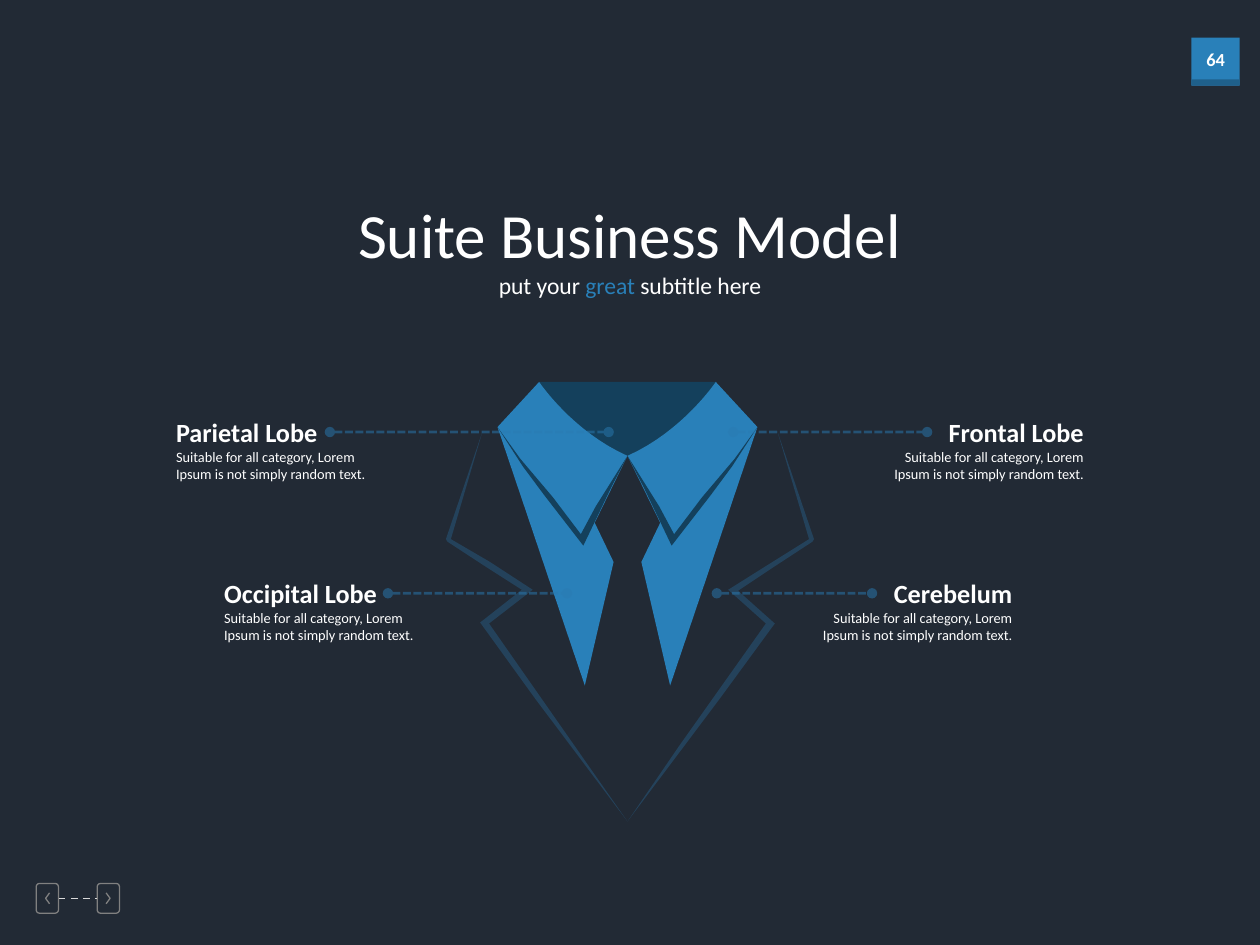
from lxml.etree import SubElement
from pptx import Presentation
from pptx.dml.color import RGBColor
from pptx.enum.dml import MSO_LINE as Dash
from pptx.enum.shapes import MSO_CONNECTOR as Link, MSO_SHAPE as Kind
from pptx.enum.text import MSO_ANCHOR as Anchor, MSO_AUTO_SIZE as Fit, PP_ALIGN as Align
from pptx.oxml.ns import qn
from pptx.util import Cm, Pt

NIGHT = RGBColor(0x22, 0x2A, 0x35)
BLUE = RGBColor(0x29, 0x80, 0xB9)
STEEL = RGBColor(0x29, 0x7B, 0xB3)
DEEP = RGBColor(0x1F, 0x60, 0x8B)
NAVY = RGBColor(0x14, 0x40, 0x5C)
GREY = RGBColor(0x80, 0x80, 0x80)
PALE = RGBColor(0xD9, 0xD9, 0xD9)
WHITE = RGBColor(0xFF, 0xFF, 0xFF)

AXIS = 12.65  # centre line of the suit, cm
BLURB = "Suitable for all category, Lorem Ipsum is not simply random text."

JACKET = [
    [(9.73, 8.69), (8.99, 10.87), (9.02, 10.92), (9.8, 11.43), (10.52, 11.89),
     (9.68, 12.55), (10.8, 14.1), (12.65, 16.56), (11.23, 14.53),
     (9.86, 12.57), (10.74, 11.89), (9.88, 11.33), (9.09, 10.87)],
    [(15.67, 8.69), (16.41, 10.87), (16.38, 10.92), (15.6, 11.43), (14.88, 11.91),
     (15.62, 12.57), (14.5, 14.1), (12.65, 16.56), (13.69, 15.04),
     (15.44, 12.57), (14.68, 11.89), (15.54, 11.35), (16.31, 10.87)],
]
SHADE = [(10.03, 8.61), (10.49, 9.25), (11.15, 10.03), (11.71, 10.77),
         (12.01, 10.21), (12.65, 9.19), (12.32, 9.83), (11.76, 11),
         (10.97, 9.98), (10.54, 9.4)]

# heading, side, outer edge, top, heading width, blurb width, leader from, to
NOTES = [
    ("Parietal Lobe", Align.LEFT, 3.3, 8.26, 3.4, 4.67, 6.65, 12.27),
    ("Occipital Lobe", Align.LEFT, 4.27, 11.51, 3.63, 4.32, 7.82, 11.43),
    ("Frontal Lobe", Align.RIGHT, 22.1, 8.26, 3.28, 4.6, 14.78, 18.69),
    ("Cerebelum", Align.RIGHT, 20.66, 11.51, 2.92, 4.6, 14.45, 17.58),
]


def curve(a, b, c, d, steps=16):
    """Points along a cubic curve."""
    points = []
    for i in range(steps + 1):
        t = i / steps
        u = 1 - t
        points.append(tuple(u**3 * p + 3 * u * u * t * q + 3 * u * t * t * r + t**3 * s
                            for p, q, r, s in zip(a, b, c, d)))
    return points


def flip(points):
    return [(2 * AXIS - x, y) for x, y in points]


def fade(fill, part):
    """Set the opacity of a solid fill, in percent."""
    color = fill.find(".//" + qn("a:srgbClr"))
    SubElement(color, qn("a:alpha")).set("val", str(part * 1000))


class Board:
    font = "Calibri"

    def __init__(self, slide):
        self.slide = slide
        self.shapes = slide.shapes
        slide.background.fill.solid()
        slide.background.fill.fore_color.rgb = NIGHT

    def place(self, shape, x, y, w, h):
        shape.left, shape.top, shape.width, shape.height = Cm(x), Cm(y), Cm(w), Cm(h)

    def paint(self, shape, fill=None, line=None):
        shape.shadow.inherit = False
        if fill is None:
            shape.fill.background()
        else:
            shape.fill.solid()
            shape.fill.fore_color.rgb = fill
        if line is None:
            shape.line.fill.background()
        else:
            shape.line.color.rgb = line
            shape.line.width = Pt(0.75)
        return shape

    def block(self, kind, x, y, w, h, fill=None, line=None):
        shape = self.shapes.add_shape(kind, Cm(x), Cm(y), Cm(w), Cm(h))
        return self.paint(shape, fill, line)

    def shape(self, points, fill=None, line=None, close=True):
        dots = [(Cm(x), Cm(y)) for x, y in points]
        pen = self.shapes.build_freeform(*dots[0])
        pen.add_line_segments(dots[1:], close=close)
        return self.paint(pen.convert_to_shape(), fill, line)

    def line(self, x1, x2, y, color, width, dash):
        line = self.shapes.add_connector(Link.STRAIGHT, Cm(x1), Cm(y), Cm(x2), Cm(y))
        line.line.color.rgb = color
        line.line.width = Pt(width)
        line.line.dash_style = dash
        SubElement(line._element.spPr, qn("a:effectLst"))
        return line

    def leader(self, x1, x2, y):
        line = self.line(x1, x2, y, STEEL, 1.5, Dash.SQUARE_DOT)
        pen = line._element.spPr.find(qn("a:ln"))
        fade(pen, 50)
        for end in ("a:headEnd", "a:tailEnd"):
            SubElement(pen, qn(end)).set("type", "oval")

    def letter(self, shape, runs, size, align, bold=False, wrap=False):
        frame = shape.text_frame
        frame.word_wrap = wrap
        frame.auto_size = Fit.NONE
        frame.vertical_anchor = Anchor.TOP
        para = frame.paragraphs[0]
        para.alignment = align
        for words, color in runs:
            run = para.add_run()
            run.text = words
            run.font.name = self.font
            run.font.size = Pt(size)
            run.font.bold = bold
            run.font.color.rgb = color

    def text(self, x, y, w, h, runs, size, align, bold=False, wrap=False):
        box = self.shapes.add_textbox(Cm(x), Cm(y), Cm(w), Cm(h))
        self.letter(box, runs, size, align, bold, wrap)

    def title(self, x, y, w, h, words, size):
        box = self.shapes.title
        self.place(box, x, y, w, h)
        self.letter(box, [(words, WHITE)], size, Align.CENTER)

    def note(self, head, side, edge, top, wide, span, start, stop):
        self.leader(start, stop, top + 0.45)
        right = side == Align.RIGHT
        self.text(edge - wide * right, top, wide, 0.89, [(head, WHITE)], 15, side, bold=True)
        self.text(edge - span * right, top + 0.65, span, 0.97, [(BLURB, WHITE)], 8.2,
                  side, wrap=True)


def main():
    deck = Presentation()
    deck.slide_width, deck.slide_height = Cm(25.4), Cm(19.05)
    board = Board(deck.slides.add_slide(deck.slide_layouts[5]))

    # Title and subtitle
    board.title(6.96, 3.81, 11.46, 1.8, "Suite Business Model", 36)
    board.text(9.8, 5.33, 5.8, 1.4,
               [("put your ", WHITE), ("great ", BLUE), ("subtitle here", WHITE)],
               13.5, Align.CENTER, wrap=True)

    # Page number
    board.block(Kind.RECTANGLE, 24.02, 0.76, 0.97, 0.97, BLUE)
    board.block(Kind.RECTANGLE, 24.02, 1.6, 0.97, 0.12, DEEP)
    board.text(24.02, 0.84, 0.97, 0.71, [("64", WHITE)], 10.5, Align.CENTER, bold=True)

    # Navigation buttons
    keys = []
    for x, back, tip in ((0.73, 1, 0.92), (1.96, 2.14, 2.22)):
        key = board.block(Kind.ROUNDED_RECTANGLE, x, 17.81, 0.45, 0.6, line=GREY)
        key.adjustments[0] = 0.15
        keys.append(key)
        board.shape([(back, 18), (tip, 18.11), (back, 18.22)], line=GREY, close=False)
    link = board.line(1.18, 1.96, 18.11, PALE, 1, Dash.DASH)
    link.begin_connect(keys[0], 3)
    link.end_connect(keys[1], 1)

    # Jacket outline
    for half in JACKET:
        fade(board.shape(half, STEEL)._element.spPr, 30)

    # Collar, lapels and their shading
    neck = curve((10.87, 7.7), (10.87, 7.7), (11.53, 8.69), (AXIS, 9.19))
    lapel = [(10.03, 8.61)] + neck + [(11.99, 10.54), (12.37, 11.33), (11.79, 13.82)]
    board.shape(neck + flip(neck)[::-1], NAVY)
    for part, color in ((lapel, BLUE), (SHADE, NAVY)):
        board.shape(part, color)
        board.shape(flip(part), color)

    # Callouts
    for note in NOTES:
        board.note(*note)

    deck.save("out.pptx")


if __name__ == "__main__":
    main()
